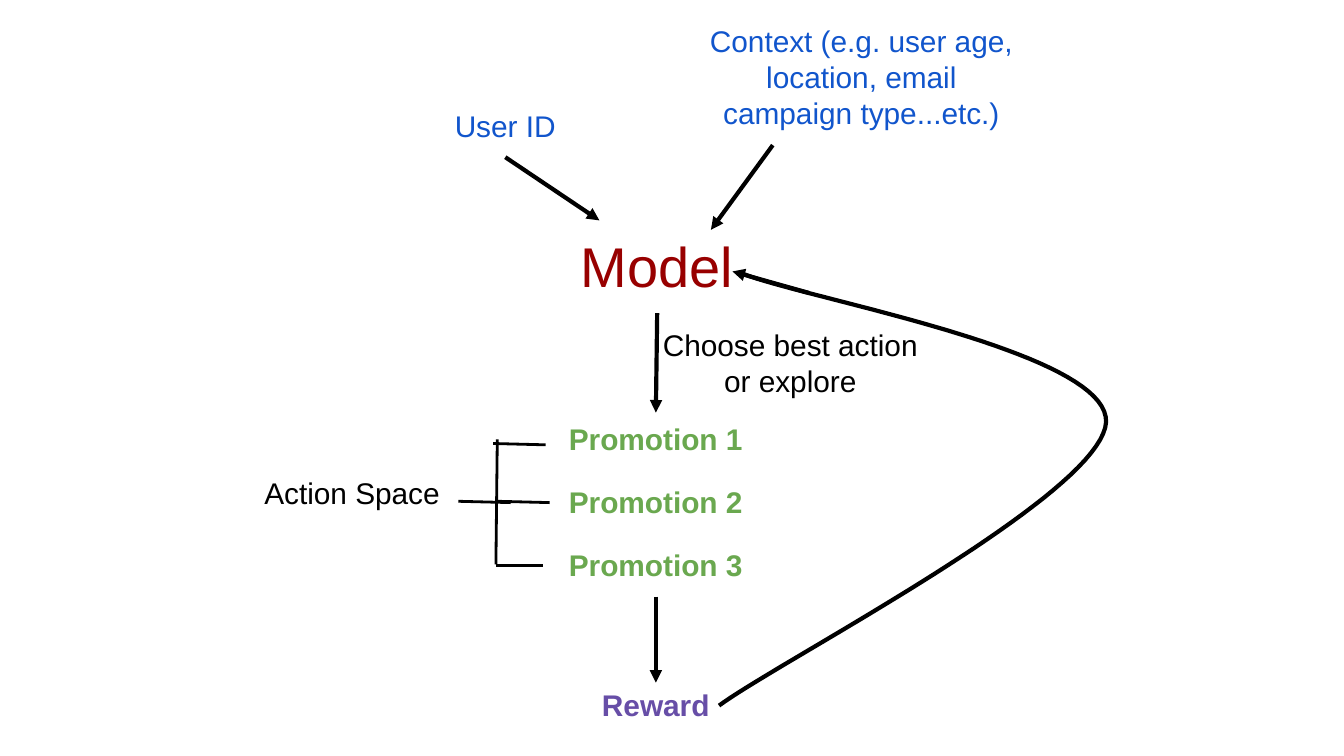
"""Draw the feedback loop of a model that picks promotions."""
from dataclasses import dataclass
from typing import Optional

from lxml.etree import SubElement
from pptx import Presentation
from pptx.dml.color import RGBColor
from pptx.enum.shapes import MSO_CONNECTOR
from pptx.enum.text import MSO_AUTO_SIZE, PP_ALIGN
from pptx.oxml.ns import qn
from pptx.util import Inches, Pt

COLORS = {
    "model": "980000",
    "input": "1155CC",
    "action": "6AA84F",
    "reward": "674EA7",
    "ink": "000000",
}
Point = tuple[float, float]


@dataclass
class Label:
    text: str
    left: float
    top: float
    color: str
    width: float = 2.6
    height: float = 0.47
    size: int = 16
    bold: bool = False


@dataclass
class Line:
    start: Point
    end: Point
    weight: float = 1.5
    arrow: bool = False
    source: Optional[str] = None


PROMOS = [
    Label(f"Promotion {i + 1}", 3.58, 3.03 + 0.47 * i, "action", bold=True)
    for i in range(3)
]
LABELS = [
    Label("Model", 3.59, 1.62, "model", height=0.71, size=30),
    Label("User ID", 2.46, 0.7, "input"),
    Label("Context (e.g. user age, location, email campaign type...etc.)",
          5.11, 0.07, "input", height=1.01),
    Label("Action Space", 1.32, 3.43, "ink"),
    *PROMOS,
    Label("Choose best action or explore", 4.79, 2.33, "ink", 2.18, 0.74),
    Label("Reward", 3.58, 5.01, "reward", bold=True),
]
ARROWS = [
    Line((5.75, 1.08), (5.29, 1.71), 2.25, True),
    Line((3.76, 1.18), (4.46, 1.64), 2.25, True, "User ID"),
    Line((4.89, 2.33), (4.88, 3.07), 2.25, True, "Model"),
    Line((4.88, 4.44), (4.88, 5.08), 2.25, True, "Promotion 3"),
    Line((6.02, 2.18), (5.45, 2.02), 2.25, True),
]
BRACKET = [
    Line((3.67, 3.3), (4.06, 3.31)),
    Line((3.7, 3.27), (3.69, 4.2)),
    Line((3.69, 4.21), (4.04, 4.21)),
    Line((3.7, 3.73), (4.09, 3.74)),
    Line((3.41, 3.73), (3.8, 3.74)),
]
LOOP = [
    [(5.51, 2.03), (5.96, 2.22), (8.25, 2.61), (8.23, 3.14)],
    [(8.23, 3.14), (8.2, 3.68), (5.83, 4.9), (5.35, 5.25)],
]


def ink(name: str) -> RGBColor:
    """Look up a named colour."""
    return RGBColor.from_string(COLORS[name])


def add_label(slide, label: Label):
    """Add one centred text label."""
    box = slide.shapes.add_textbox(
        Inches(label.left), Inches(label.top),
        Inches(label.width), Inches(label.height))
    frame = box.text_frame
    frame.word_wrap = True
    frame.auto_size = MSO_AUTO_SIZE.SHAPE_TO_FIT_TEXT
    frame.margin_left = frame.margin_right = Inches(0.1)
    frame.margin_top = frame.margin_bottom = Inches(0.1)
    para = frame.paragraphs[0]
    para.alignment = PP_ALIGN.CENTER
    run = para.add_run()
    run.text = label.text
    run.font.name = "Arial"
    run.font.size = Pt(label.size)
    run.font.bold = label.bold
    run.font.color.rgb = ink(label.color)
    return box


def add_line(slide, line: Line, boxes: dict) -> None:
    """Add one straight line, joined to its source if it has one."""
    link = slide.shapes.add_connector(
        MSO_CONNECTOR.STRAIGHT, *map(Inches, line.start + line.end))
    if line.source:
        link.begin_connect(boxes[line.source], 2)
    link.line.width = Pt(line.weight)
    link.line.color.rgb = ink("ink")
    if line.arrow:
        SubElement(link.line._get_or_add_ln(), qn("a:tailEnd"), type="triangle")
    SubElement(link._element.spPr, qn("a:effectLst"))


def trace(curve: list[Point], steps: int = 40) -> list[Point]:
    """Sample a cubic curve, from start to end, in slide units."""
    points = []
    for i in range(steps + 1):
        t = i / steps
        u = 1 - t
        parts = (u ** 3, 3 * u * u * t, 3 * u * t * t, t ** 3)
        points.append(tuple(
            Inches(sum(w * p[axis] for w, p in zip(parts, curve)))
            for axis in (0, 1)))
    return points


def add_loop(slide, curves: list[list[Point]]) -> None:
    """Add the open curve that leads from reward to model."""
    first, *rest = [point for curve in curves for point in trace(curve)]
    pen = slide.shapes.build_freeform(*first)
    pen.add_line_segments(rest, close=False)
    loop = pen.convert_to_shape()
    loop.shadow.inherit = False
    loop.fill.background()
    loop.line.width = Pt(2.25)
    loop.line.color.rgb = ink("ink")


def main() -> None:
    """Build and save the slide."""
    deck = Presentation()
    deck.slide_width, deck.slide_height = Inches(10), Inches(10 * 9 / 16)
    slide = deck.slides.add_slide(deck.slide_layouts[6])
    boxes = {label.text: add_label(slide, label) for label in LABELS}
    add_loop(slide, LOOP)
    for line in ARROWS + BRACKET:
        add_line(slide, line, boxes)
    deck.save("out.pptx")


if __name__ == "__main__":
    main()
